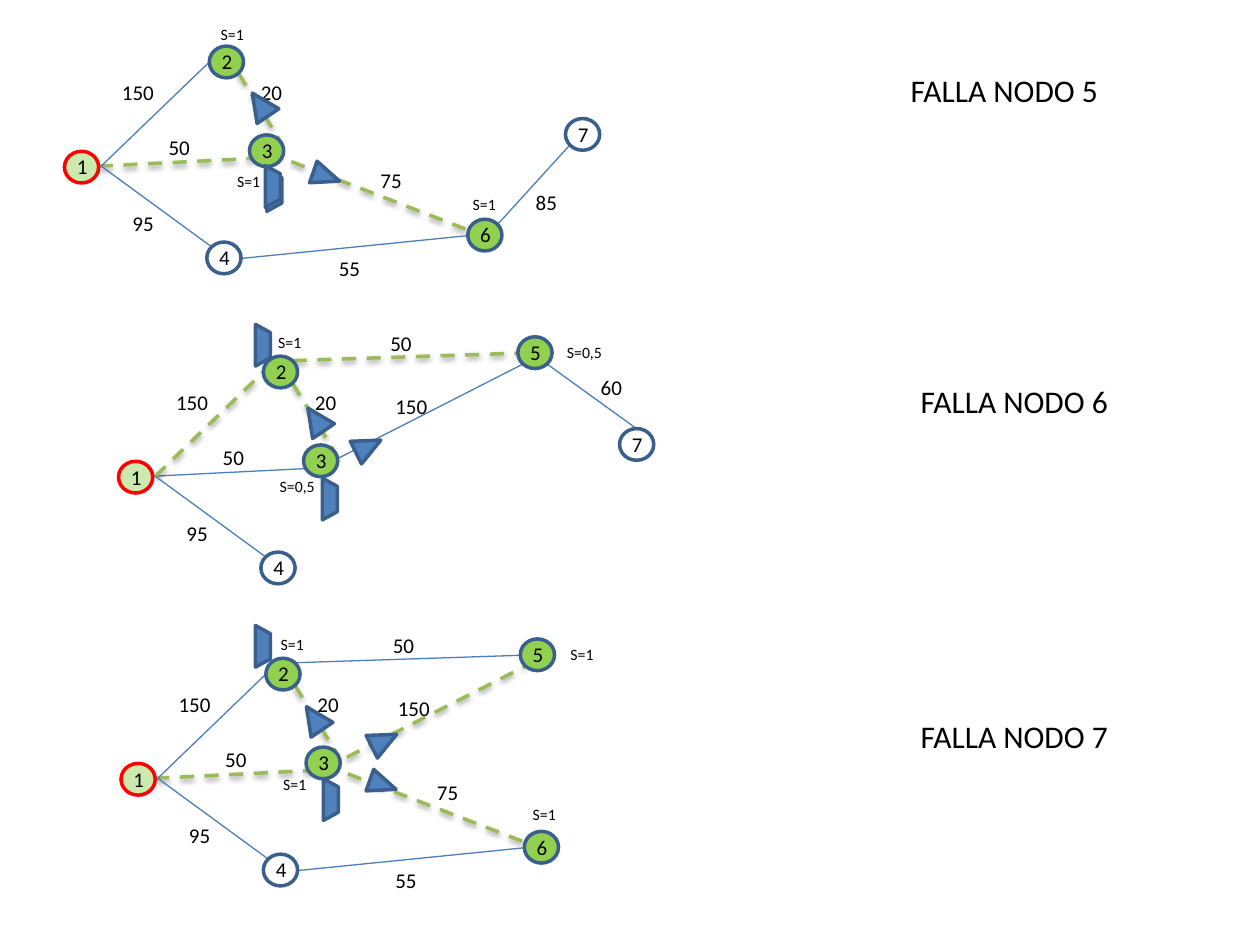
"""Build a slide with three network diagrams, one for each node failure."""
from lxml import etree
from pptx import Presentation
from pptx.dml.color import RGBColor
from pptx.enum import dml, shapes
from pptx.oxml import parse_xml
from pptx.oxml.ns import nsdecls, qn
from pptx.util import Cm, Pt

SHADOW = (
    f'<a:effectLst {nsdecls("a")}><a:outerShdw blurRad="40000" dist="20000" dir="5400000" rotWithShape="0">'
    '<a:srgbClr val="000000"><a:alpha val="38000"/></a:srgbClr></a:outerShdw></a:effectLst>'
)
NODES = {1: (0, 0), 2: (2.92, -2.12), 3: (3.73, -0.33), 4: (2.87, 1.83),
         5: (8.05, -2.51), 6: (8.13, 1.37), 7: (10.1, -0.66)}
IDLE_NODES = (4, 7)
EDGES = {
    "1-3": ((0.69, 0.3, 4.09, 0.13), "50", (1.85, -0.46)),
    "3-5": ((4.11, 0.1, 8.15, -1.96), "150", (5.33, -1.5)),
    "3-6": ((4.11, 0.03, 8.43, 1.7), "75", (6.12, 0.2)),
    "2-5": ((3.51, -2.03, 8.05, -2.18), "50", (5.23, -2.77)),
    "1-2": ((0.74, 0.3, 2.92, -1.8), "150", (0.91, -1.57)),
    "2-3": ((3.51, -1.57, 4.32, -0.25), "20", (3.71, -1.57)),
    "4-6": ((3.56, 2.16, 8.13, 1.7), "55", (5.28, 1.98)),
    "1-4": ((0.74, 0.3, 2.97, 1.93), "95", (1.12, 1.07)),
    "6-7": ((10.19, -0.13, 8.48, 1.75), "85", (9.25, 0.64)),
    "5-7": ((8.64, -1.96, 10.44, -0.66), "60", (9.47, -1.88)),
}
ARROWS = {"2-3": (0.53, 325.8), "3-6": (0.46, 109.4), "3-5": (0.51, 63.5)}
PANELS = [
    dict(failed=5, origin=(1.3, 3.05), title=(18.11, 1.3), active=("1-3", "3-6", "2-3"),
         states=[("S=1", 2.9, -2.67), ("S=1", 7.98, 0.76), ("S=1", 3.23, 0.28)],
         arrows={"3-6": (5.05, 0.23), "2-3": (3.68, -1.22)},
         gates=[(3.81, 0.64), (3.78, 0.56)]),
    dict(failed=6, origin=(2.39, 9.3), title=(18.31, 7.57), active=("2-5", "1-2", "2-3"),
         states=[("S=1", 2.97, -2.72), ("S=0,5", 8.79, -2.51), ("S=0,5", 3, 0.18)],
         arrows={"3-5": (4.78, -0.58), "2-3": (3.71, -1.12)},
         gates=[(3.84, 0.61), (2.49, -2.49)]),
    dict(failed=7, origin=(2.44, 15.39), title=(18.31, 14.33), active=("1-3", "3-5", "3-6", "2-3"),
         states=[("S=1", 2.97, -2.72), ("S=1", 8.81, -2.51), ("S=1", 8.05, 0.71), ("S=1", 3.02, 0.1)],
         arrows={"3-5": (5.05, -0.74), "2-3": (3.63, -1.19), "3-6": (5.05, 0.15)},
         gates=[(3.81, 0.58), (2.44, -2.51)]),
]


def add_label(parent, content, left, top, width, height, size, wrap=True):
    frame = parent.add_textbox(Cm(left), Cm(top), Cm(width), Cm(height)).text_frame
    frame.word_wrap = wrap
    run = frame.paragraphs[0].add_run()
    run.text = content
    run.font.size = Pt(size)
    run.font.name = "Calibri"
    run.font.color.rgb = RGBColor.from_string("000000")


def add_symbol(parent, kind, left, top, width, height, fill, line="3A5F8C", rotation=0):
    symbol = parent.add_shape(kind, Cm(left), Cm(top), Cm(width), Cm(height))
    symbol.shadow.inherit = False
    symbol.rotation = rotation
    if fill:
        symbol.fill.solid()
        symbol.fill.fore_color.rgb = RGBColor.from_string(fill)
    else:
        symbol.fill.background()
    symbol.line.color.rgb = RGBColor.from_string(line)
    symbol.line.width = Pt(2)
    return symbol


deck = Presentation()
deck.slide_width, deck.slide_height = Cm(25.4), Cm(19.05)
slide = deck.slides.add_slide(deck.slide_layouts[6])

for panel in PANELS:
    add_label(slide.shapes, f"FALLA NODO {panel['failed']}", *panel["title"], 4.32, 1.02, 18, wrap=False)

for panel in PANELS:
    x, y = panel["origin"]
    network = slide.shapes.add_group_shape().shapes
    links = {name: edge for name, edge in EDGES.items() if str(panel["failed"]) not in name}

    for name, ((x1, y1, x2, y2), cost, place) in links.items():
        active = name in panel["active"]
        link = network.add_connector(shapes.MSO_CONNECTOR.STRAIGHT, Cm(x + x1), Cm(y + y1), Cm(x + x2), Cm(y + y2))
        link.line.color.rgb = RGBColor.from_string("9BBB59" if active else "4B7EBC")
        link.line.width = Pt(2 if active else 0.75)
        if active:
            link.line.dash_style = dml.MSO_LINE.DASH
            link._element.spPr.append(parse_xml(SHADOW))
        else:
            etree.SubElement(link._element.spPr, qn("a:effectLst"))

    for number, (dx, dy) in NODES.items():
        if number == panel["failed"]:
            continue
        node = add_symbol(network, shapes.MSO_SHAPE.OVAL, x + dx, y + dy, 0.69, 0.64,
                          None if number in IDLE_NODES else "92D050", "FF0000" if number == 1 else "3A5F8C")
        if number == 1:
            tint = node._element.spPr.find(qn("a:solidFill"))[0]
            etree.SubElement(tint, qn("a:alpha"), val="46000")
        add_label(network, str(number), x + dx, y + dy - 0.07, 0.74, 0.76, 12)

    for ends, cost, (dx, dy) in links.values():
        add_label(network, cost, x + dx, y + dy, 1.5 if len(cost) == 3 else 1.09, 0.76, 12)
    for state, dx, dy in panel["states"]:
        add_label(network, state, x + dx, y + dy, 0.99 if len(state) == 3 else 1.22, 0.64, 9, wrap=False)

    for dx, dy in panel["gates"]:
        gate = add_symbol(network, shapes.MSO_SHAPE.TRAPEZOID, x + dx, y + dy, 0.84, 0.3, "4F81BD", rotation=90)
        gate.adjustments[0] = 0.55
    for name, (dx, dy) in panel["arrows"].items():
        width, angle = ARROWS[name]
        add_symbol(network, shapes.MSO_SHAPE.ISOSCELES_TRIANGLE, x + dx, y + dy, width, 0.56, "4F81BD", rotation=angle)

deck.save("out.pptx")
